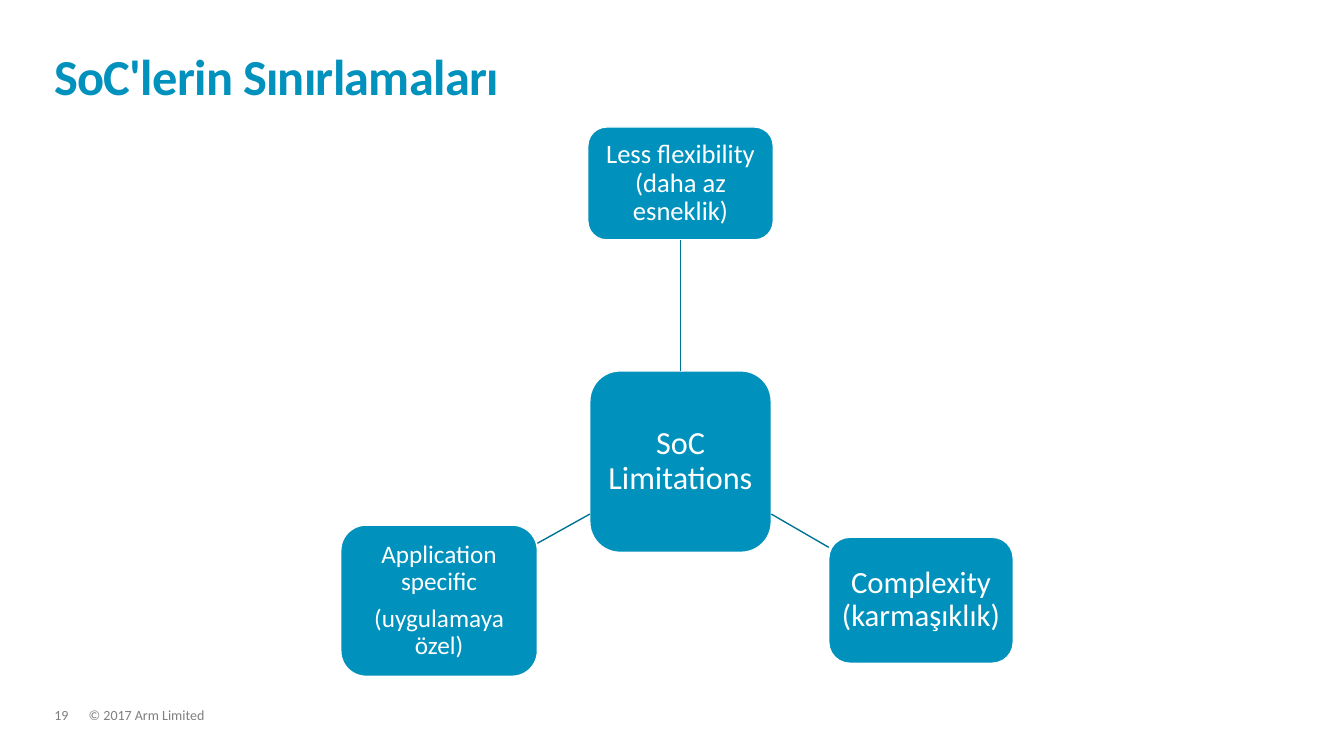
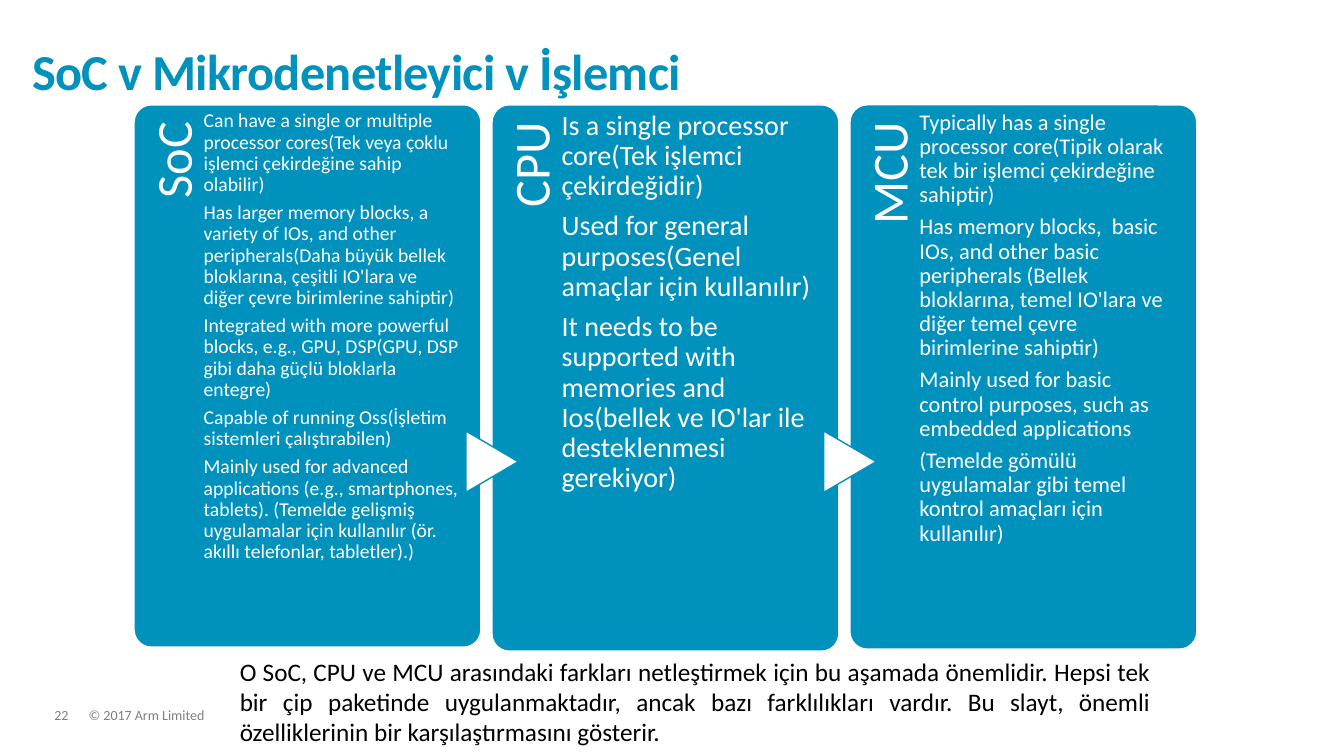
from dataclasses import dataclass

from lxml.etree import SubElement
from pptx import Presentation
from pptx.dml.color import RGBColor
from pptx.enum.shapes import MSO_CONNECTOR, MSO_SHAPE
from pptx.enum.text import MSO_ANCHOR, MSO_AUTO_SIZE, PP_ALIGN
from pptx.oxml.ns import qn
from pptx.util import Inches, Pt

FONT = "Calibri"
BLUE = "0091BD"
DARK_BLUE = "007497"
WHITE = "FFFFFF"
GREY = "7F7F7F"
BLACK = "000000"

CARD_LEFT, CARD_TOP, CARD_WIDTH, CARD_PITCH = 1.33, 1.04, 3.44, 3.55
LABEL_WIDTH = 0.69
ARROW_BASE, ARROW_DEPTH, ARROW_MIDDLE = 0.61, 0.52, 4.58


@dataclass
class Limitation:
    paragraphs: list[str]
    left: float
    top: float
    width: float
    height: float
    size: int


@dataclass
class Card:
    label: str
    height: float
    size: int
    paragraphs: list[str]


HUB = Limitation(["SoC Limitations"], 5.85, 3.68, 1.8, 1.8, 23)
FLEXIBILITY = Limitation(["Less flexibility\n(daha az esneklik)"], 5.83, 1.26, 1.84, 1.12, 19)
COMPLEXITY = Limitation(["Complexity (karmaşıklık)"], 8.22, 5.33, 1.83, 1.25, 22)
SPECIFICITY = Limitation(
    ["Application specific", "(uygulamaya özel)"], 3.38, 5.21, 1.95, 1.5, 18)

CARDS = [
    Card("SoC", 5.38, 14, [
        "Can have a single or multiple processor cores(Tek veya çoklu işlemci "
        "çekirdeğine sahip olabilir)",
        "Has larger memory blocks, a variety of IOs, and other peripherals(Daha "
        "büyük bellek bloklarına, çeşitli IO'lara ve diğer çevre birimlerine sahiptir)",
        "Integrated with more powerful blocks, e.g., GPU, DSP(GPU, DSP gibi daha "
        "güçlü bloklarla entegre)",
        "Capable of running Oss(İşletim sistemleri çalıştırabilen)",
        "Mainly used for advanced applications (e.g., smartphones, tablets). "
        "(Temelde gelişmiş uygulamalar için kullanılır (ör. akıllı telefonlar, "
        "tabletler).)",
    ]),
    Card("CPU", 5.42, 20, [
        "Is a single processor core(Tek işlemci çekirdeğidir)",
        "Used for general purposes(Genel amaçlar için kullanılır)",
        "It needs to be supported with memories and Ios(bellek ve IO'lar ile "
        "desteklenmesi gerekiyor)",
    ]),
    Card("MCU", 5.4, 16, [
        "Typically has a single processor core(Tipik olarak tek bir işlemci "
        "çekirdeğine sahiptir)",
        "Has memory blocks,  basic IOs, and other basic peripherals (Bellek "
        "bloklarına, temel IO'lara ve diğer temel çevre birimlerine sahiptir)",
        "Mainly used for basic control purposes, such as embedded applications",
        "(Temelde gömülü uygulamalar gibi temel kontrol amaçları için kullanılır)",
    ]),
]

CAPTION = (
    "O SoC, CPU ve MCU arasındaki farkları netleştirmek için bu aşamada önemlidir. "
    "Hepsi tek bir çip paketinde uygulanmaktadır, ancak bazı farklılıkları vardır. "
    "Bu slayt, önemli özelliklerinin bir karşılaştırmasını gösterir."
)


def rgb(color: str) -> RGBColor:
    return RGBColor.from_string(color)


def write_text(frame, paragraphs: list[str], *, size: int, color: str = WHITE,
               bold: bool = False, align=PP_ALIGN.LEFT, anchor=MSO_ANCHOR.TOP,
               line_spacing: float = 0.9, space_after: float = 0,
               insets: tuple = (0, 0, 0, 0), tracking: float = 0) -> None:
    """Fill a text frame; insets are left, top, right, bottom in inches."""
    frame.word_wrap = True
    frame.auto_size = MSO_AUTO_SIZE.NONE
    frame.vertical_anchor = anchor
    (frame.margin_left, frame.margin_top,
     frame.margin_right, frame.margin_bottom) = map(Inches, insets)
    for index, text in enumerate(paragraphs):
        paragraph = frame.add_paragraph() if index else frame.paragraphs[0]
        paragraph.text = text
        paragraph.alignment = align
        paragraph.line_spacing = line_spacing
        paragraph.space_after = Pt(space_after)
        for run in paragraph.runs:
            run.font.name = FONT
            run.font.size = Pt(size)
            run.font.bold = bold
            run.font.color.rgb = rgb(color)
            if tracking:
                run.font._element.set("spc", str(round(tracking * 100)))


def add_text(slide, paragraphs: list[str], left: float, top: float,
             width: float, height: float, **text_format):
    box = slide.shapes.add_textbox(*map(Inches, (left, top, width, height)))
    write_text(box.text_frame, paragraphs, **text_format)
    return box


def add_panel(slide, preset, left: float, top: float, width: float,
              height: float, fill: str = BLUE, line: str = WHITE):
    panel = slide.shapes.add_shape(preset, *map(Inches, (left, top, width, height)))
    panel.shadow.inherit = False
    panel.fill.solid()
    panel.fill.fore_color.rgb = rgb(fill)
    panel.line.color.rgb = rgb(line)
    panel.line.width = Pt(1)
    return panel


def add_limitation(slide, limitation: Limitation):
    box = add_panel(slide, MSO_SHAPE.ROUNDED_RECTANGLE, limitation.left,
                    limitation.top, limitation.width, limitation.height)
    write_text(box.text_frame, limitation.paragraphs, size=limitation.size,
               align=PP_ALIGN.CENTER, anchor=MSO_ANCHOR.MIDDLE,
               space_after=limitation.size * 0.36, insets=(0.05,) * 4)
    return box


def add_link(slide, x1: float, y1: float, x2: float, y2: float):
    link = slide.shapes.add_connector(
        MSO_CONNECTOR.STRAIGHT, *map(Inches, (x1, y1, x2, y2)))
    link.line.color.rgb = rgb(DARK_BLUE)
    link.line.width = Pt(1)
    SubElement(link._element.spPr, qn("a:effectLst"))
    return link


def add_card(slide, card: Card, left: float) -> None:
    panel = add_panel(slide, MSO_SHAPE.ROUNDED_RECTANGLE, left, CARD_TOP,
                      CARD_WIDTH, card.height)
    panel.adjustments[0] = 0.05
    write_text(panel.text_frame, card.paragraphs, size=card.size,
               space_after=card.size * 0.36, insets=(0.64, 0.01, 0.14, 0))
    length = card.height * 0.82
    label = add_text(slide, [card.label], left + (LABEL_WIDTH - length) / 2,
                     CARD_TOP + (length - LABEL_WIDTH) / 2, length, LABEL_WIDTH,
                     size=36, align=PP_ALIGN.RIGHT, insets=(0, 0.14, 0.17, 0))
    label.rotation = 270


def add_arrow(slide, middle: float) -> None:
    arrow = add_panel(slide, MSO_SHAPE.FLOWCHART_EXTRACT, middle - ARROW_BASE / 2,
                      ARROW_MIDDLE - ARROW_DEPTH / 2, ARROW_BASE, ARROW_DEPTH,
                      fill=WHITE, line=BLUE)
    arrow.rotation = 90


def start_slide(presentation, title: str, number: int, left: float, top: float):
    """Add a slide with its title at left, top and the shared footer."""
    slide = presentation.slides.add_slide(presentation.slide_layouts[5])
    heading = slide.shapes.title
    heading.left, heading.top, heading.width, heading.height = map(
        Inches, (left, top, 12.23, 0.73))
    write_text(heading.text_frame, [title], size=36, color=BLUE, bold=True,
               anchor=MSO_ANCHOR.BOTTOM, line_spacing=0.85, tracking=-0.5)
    add_text(slide, ["© 2017 Arm Limited"], 0.88, 7.03, 9.13, 0.15, size=10, color=GREY)
    add_text(slide, [str(number)], 0.54, 7.03, 0.34, 0.15, size=10, color=GREY)
    return slide


def build_limitations(presentation) -> None:
    slide = start_slide(presentation, "SoC'lerin Sınırlamaları", 19, 0.54, 0.32)
    hub = add_limitation(slide, HUB)
    flexibility = add_limitation(slide, FLEXIBILITY)
    add_limitation(slide, COMPLEXITY)
    add_limitation(slide, SPECIFICITY)
    upward = add_link(slide, 6.75, 3.68, 6.75, 2.38)
    upward.begin_connect(hub, 0)
    upward.end_connect(flexibility, 2)
    add_link(slide, 7.65, 5.1, 8.22, 5.43)
    add_link(slide, 5.85, 5.1, 5.33, 5.39)


def build_comparison(presentation) -> None:
    slide = start_slide(presentation, "SoC v Mikrodenetleyici v İşlemci", 22, 0.32, 0.27)
    lefts = [CARD_LEFT + CARD_PITCH * index for index in range(len(CARDS))]
    for card, left in zip(CARDS, lefts):
        add_card(slide, card, left)
    for left in lefts[1:]:
        add_arrow(slide, left)
    add_text(slide, [CAPTION], 2.28, 6.46, 9.23, 1.01, size=18, color=BLACK,
             align=PP_ALIGN.JUSTIFY, line_spacing=1.0, insets=(0.1, 0.05, 0.1, 0.05))


def main() -> None:
    presentation = Presentation()
    presentation.slide_width = Inches(13.33)
    presentation.slide_height = Inches(7.5)
    build_limitations(presentation)
    build_comparison(presentation)
    presentation.save("out.pptx")


if __name__ == "__main__":
    main()
